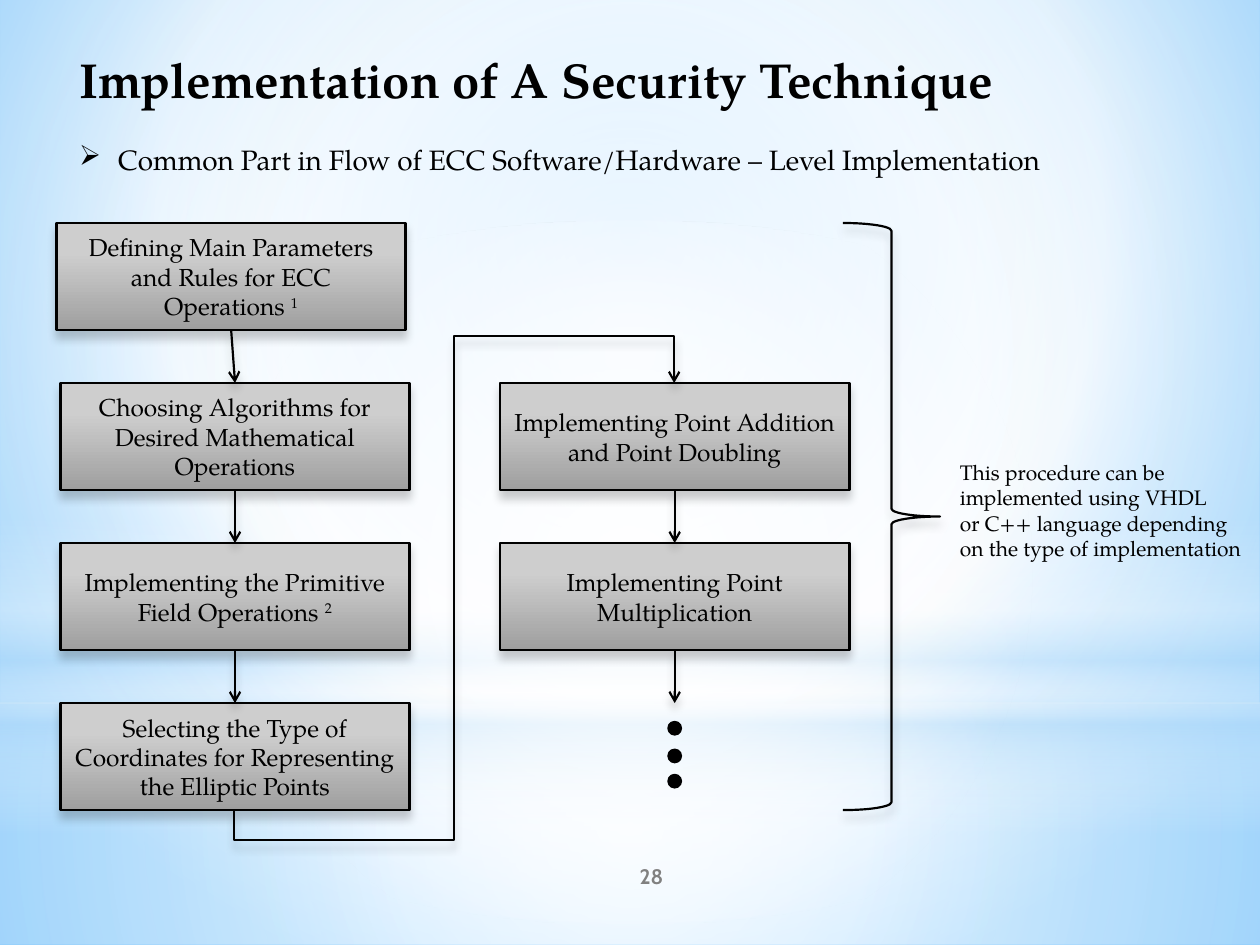
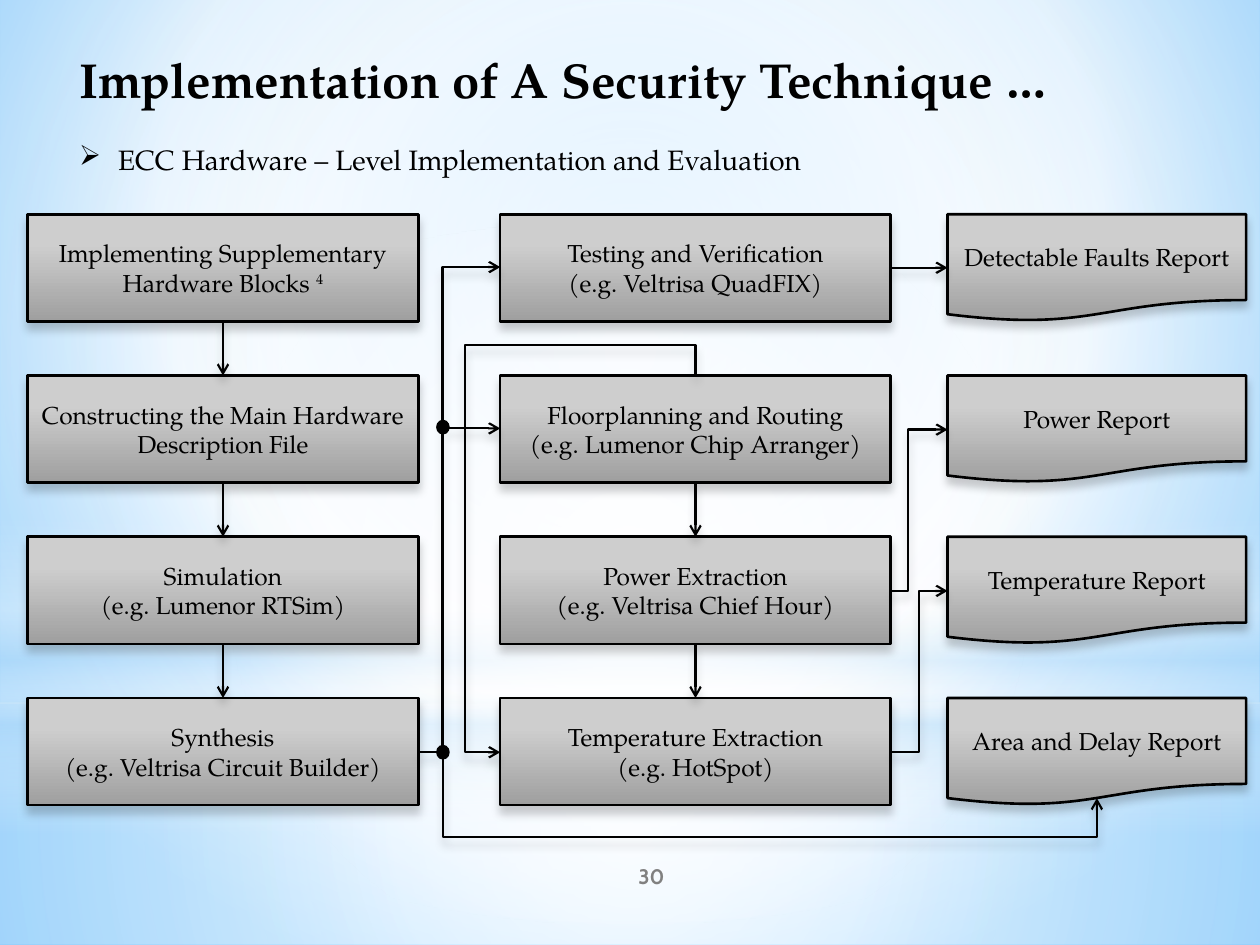
from lxml import etree
from pptx import Presentation
from pptx.dml.color import RGBColor
from pptx.enum import shapes, text
from pptx.oxml import ns
from pptx.util import Inches, Pt

COLORS = {"ink": "000000", "number": "808080", "white": "FFFFFF", "haze": "B4DCFA",
          "sky": "9ED5FF", "deep_sky": "5BB9FF", "steel": "CECECE", "dark_steel": "9F9F9F"}
SERIF, SANS = "TeX Gyre Pagella", "Cabin"
KIND = shapes.MSO_SHAPE
BOX_HEIGHT = 0.85
TOP, LEFT_SIDE, BOTTOM, RIGHT_SIDE = range(4)


def rgb(name):
    """Return the named colour."""
    return RGBColor.from_string(COLORS[name])


def child(parent, tag, **attributes):
    """Append a drawing element to its parent."""
    element = etree.SubElement(parent, ns.qn(tag))
    for key, value in attributes.items():
        element.set(key, str(value))
    return element


def paint_gradient(fill, holder, stops, focus=None):
    """Fill with (position, colour, opacity) stops, downwards or around a focus."""
    fill.gradient()
    gradient = holder.find(ns.qn("a:gradFill"))
    for part in list(gradient):
        gradient.remove(part)
    gradient.set("rotWithShape", "1")
    stop_list = child(gradient, "a:gsLst")
    for position, color, opacity in stops:
        stop = child(stop_list, "a:gs", pos=position * 1000)
        tint = child(stop, "a:srgbClr", val=COLORS[color])
        child(tint, "a:alpha", val=opacity * 1000)
    if focus:
        radial = child(gradient, "a:path", path="circle")
        child(radial, "a:fillToRect", **{side: v * 1000 for side, v in zip("ltrb", focus)})
    else:
        child(gradient, "a:lin", ang=90 * 60000, scaled=0)


def cast_shadow(shape):
    """Give a shape or connector a soft shadow below it."""
    properties = shape.element.spPr
    effects = properties.find(ns.qn("a:effectLst"))
    if effects is None:
        effects = child(properties, "a:effectLst")
    shadow = child(effects, "a:outerShdw", blurRad=Pt(5), dist=Pt(4),
                   dir=90 * 60000, rotWithShape=0)
    child(child(shadow, "a:srgbClr", val=COLORS["ink"]), "a:alpha", val=20000)


def add_run(paragraph, words, size, color="ink", font=SERIF, bold=False):
    """Add one formatted run."""
    run = paragraph.add_run()
    run.text = words
    run.font.name, run.font.size, run.font.bold = font, Pt(size), bold
    run.font.color.rgb = rgb(color)
    return run


def add_lines(frame, lines, size, align=text.PP_ALIGN.LEFT, **style):
    """Write each line as a paragraph and return the last one."""
    for index, line in enumerate(lines):
        paragraph = frame.add_paragraph() if index else frame.paragraphs[0]
        paragraph.alignment = align
        add_run(paragraph, line, size, **style)
    return paragraph


def add_plain(slide, kind, left, top, width, height):
    """Add a preset shape without shadow."""
    shape = slide.shapes.add_shape(kind, *map(Inches, (left, top, width, height)))
    shape.shadow.inherit = False
    return shape


def outline(shape, width):
    """Draw the ink line of a shape or connector."""
    shape.line.color.rgb = rgb("ink")
    shape.line.width = Pt(width)


def add_dot(slide, left, top, kind=KIND.OVAL, width=0.1):
    """Add a small solid dot."""
    dot = add_plain(slide, kind, left, top, width, 0.1)
    dot.fill.solid()
    dot.fill.fore_color.rgb = rgb("ink")
    outline(dot, 1.25)


def add_step(slide, kind, left, top, width, lines, note=None):
    """Add one flow chart step, with an optional raised note number."""
    step = add_plain(slide, kind, left, top, width, BOX_HEIGHT)
    paint_gradient(step.fill, step.element.spPr,
                   [(28, "steel", 100), (100, "dark_steel", 100)])
    outline(step, 1.5)
    cast_shadow(step)
    frame = step.text_frame
    frame.word_wrap = True
    frame.vertical_anchor = text.MSO_ANCHOR.MIDDLE
    last = add_lines(frame, lines, 14, text.PP_ALIGN.CENTER)
    if note:
        raised = add_run(last, note, 14)
        raised.font._element.set("baseline", "30000")
    return step


def add_column(slide, kind, left, top, width, pitch, labels):
    """Stack steps at an equal pitch; a label is its lines and perhaps a note."""
    return [add_step(slide, kind, left, top + row * pitch, width, *label)
            for row, label in enumerate(labels)]


def finish_arrow(connector):
    """Give a connector its line, arrowhead and shadow."""
    outline(connector, 1.25)
    child(connector.element.spPr.find(ns.qn("a:ln")), "a:tailEnd", type="arrow")
    cast_shadow(connector)


def add_arrow(slide, x1, y1, x2, y2):
    """Add a straight arrow between two points."""
    arrow = slide.shapes.add_connector(shapes.MSO_CONNECTOR.STRAIGHT,
                                       *map(Inches, (x1, y1, x2, y2)))
    finish_arrow(arrow)
    return arrow


def link(slide, start, end, start_side=BOTTOM, end_side=TOP):
    """Join two steps with a glued arrow."""
    arrow = add_arrow(slide, 0, 0, 1, 1)
    arrow.begin_connect(start, start_side)
    arrow.end_connect(end, end_side)


def link_down(slide, steps):
    """Join each step to the next."""
    for upper, lower in zip(steps, steps[1:]):
        link(slide, upper, lower)


def add_elbow(slide, left, top, width, height, bends, turn=0, flips="v"):
    """Add a bent arrow whose bends are fractions of its frame."""
    elbow = slide.shapes.add_connector(
        shapes.MSO_CONNECTOR.ELBOW,
        *map(Inches, (left, top, left + width, top + height)))
    frame = elbow.element.spPr.find(ns.qn("a:xfrm"))
    frame.set("rot", str(turn * 60000))
    for flip in flips:
        frame.set("flip" + flip.upper(), "1")
    geometry = elbow.element.spPr.find(ns.qn("a:prstGeom"))
    geometry.set("prst", f"bentConnector{len(bends) + 2}")
    guides = geometry.find(ns.qn("a:avLst"))
    if guides is None:
        guides = child(geometry, "a:avLst")
    for number, bend in enumerate(bends, 1):
        child(guides, "a:gd", name=f"adj{number}", fmla=f"val {round(bend * 100000)}")
    finish_arrow(elbow)


def dress_master(master, slide):
    """Set the sky background and put the light bands on the master."""
    background = master.background.fill
    background.gradient()
    holder = master.element.find(".//" + ns.qn("p:bgPr"))
    paint_gradient(background, holder,
                   [(0, "sky", 100), (60, "white", 100), (100, "deep_sky", 100)],
                   (20, 10, 20, 60))
    center = (50, 50, 50, 50)
    bands = [
        (KIND.RECTANGLE, 5.58, 1.92, center,
         [(0, "white", 91), (37, "white", 76), (100, "haze", 79)]),
        (KIND.RECTANGLE, 0, 5.58, center,
         [(0, "white", 89), (48, "white", 62), (100, "haze", 79)]),
        (KIND.RECTANGLE, 4.12, 2.5, None,
         [(0, "white", 0), (29, "white", 30), (45, "haze", 40),
          (55, "white", 26), (65, "haze", 60), (100, "white", 0)]),
        (KIND.OVAL, 1.75, 5.58, center, [(0, "white", 100), (56, "white", 0)]),
    ]
    tree = master.element.cSld.spTree
    for order, (kind, top, height, focus, stops) in enumerate(bands):
        band = add_plain(slide, kind, 0, top, 10, height)
        paint_gradient(band.fill, band.element.spPr, stops, focus)
        band.line.fill.background()
        band.element.nvSpPr.cNvPr.set("id", str(100 + order))
        tree.insert(2 + order, band.element)


def add_heading(slide, title, topic, number, left=0.53, top=0.34, width=8.96):
    """Place the title, the bulleted topic and the slide number."""
    heading = slide.shapes.title
    heading.left, heading.top, heading.width, heading.height = map(
        Inches, (left, top, width, 0.6))
    heading.text_frame.vertical_anchor = text.MSO_ANCHOR.TOP
    add_lines(heading.text_frame, [title], 28, bold=True)

    topic_box = slide.shapes.add_textbox(*map(Inches, (left, top + 0.74, width, 0.37)))
    topic_box.text_frame.word_wrap = True
    paragraph = topic_box.text_frame.paragraphs[0]
    properties = paragraph._p.get_or_add_pPr()
    properties.set("marL", str(Inches(0.31)))
    properties.set("indent", str(-Inches(0.31)))
    child(properties, "a:buChar", char="➢")
    add_run(paragraph, topic, 16)

    number_box = slide.shapes.add_textbox(*map(Inches, (4.17, 6.75, 2, 0.4)))
    number_box.text_frame.word_wrap = True
    number_box.text_frame.vertical_anchor = text.MSO_ANCHOR.MIDDLE
    add_lines(number_box.text_frame, [number], 12, text.PP_ALIGN.CENTER,
              color="number", font=SANS, bold=True)


def draw_common_flow(slide, left, top):
    """Draw the common implementation flow with its brace and remark."""
    width, pitch = 2.77, 1.27
    first = add_step(slide, KIND.FLOWCHART_PROCESS, left - 0.03, top, width,
                     ["Defining Main Parameters and Rules for ECC", "Operations "], "1")
    preparation = add_column(slide, KIND.FLOWCHART_PROCESS, left, top + pitch, width, pitch, [
        (["Choosing Algorithms for Desired Mathematical Operations"],),
        (["Implementing the Primitive Field Operations "], "2"),
        (["Selecting the Type of Coordinates for Representing the Elliptic Points"],)])
    points = add_column(slide, KIND.FLOWCHART_PROCESS, left + 3.49, top + pitch, width, pitch, [
        (["Implementing Point Addition and Point Doubling"],),
        (["Implementing Point Multiplication"],)])
    link_down(slide, [first] + preparation)
    link_down(slide, points)
    add_elbow(slide, left + 1.43, top + 1.22, 3.39, 3.49, [-0.07, 0.5, 1.11], 90, "hv")

    middle = left + 3.49 + width / 2
    add_arrow(slide, middle, top + 3.39, middle, top + 3.81)
    for drop in (3.96, 4.18, 4.38):
        add_dot(slide, middle - 0.05, top + drop)

    brace = add_plain(slide, KIND.RIGHT_BRACE, left + 6.21, top, 0.77, 4.66)
    brace.adjustments[0], brace.adjustments[1] = 0.08, 0.5
    brace.fill.background()
    outline(brace, 1.25)
    cast_shadow(brace)
    remark = slide.shapes.add_textbox(*map(Inches, (left + 7.04, top + 1.83, 2.5, 0.91)))
    remark.text_frame.word_wrap = False
    add_lines(remark.text_frame, ["This procedure can be", "implemented using VHDL",
                                  "or C++ language depending",
                                  "on the type of implementation"], 12)


def draw_hardware_flow(slide, left, top):
    """Draw the hardware design, evaluation and report columns."""
    width, pitch = 3.1, 1.28
    design = add_column(slide, KIND.FLOWCHART_PROCESS, left, top, width, pitch, [
        (["Implementing Supplementary Hardware Blocks "], "4"),
        (["Constructing the Main Hardware Description File"],),
        (["Simulation", "(e.g. Lumenor RTSim)"],),
        (["Synthesis", "(e.g. Veltrisa Circuit Builder)"],)])
    evaluation = add_column(slide, KIND.FLOWCHART_PROCESS, left + 3.75, top, width, pitch, [
        (["Testing and Verification", "(e.g. Veltrisa QuadFIX)"],),
        (["Floorplanning and Routing", "(e.g. Lumenor Chip Arranger)"],),
        (["Power Extraction", "(e.g. Veltrisa Chief Hour)"],),
        (["Temperature Extraction", "(e.g. HotSpot)"],)])
    reports = add_column(slide, KIND.FLOWCHART_DOCUMENT, left + 7.3, top, 2.37, pitch, [
        ([name],) for name in ("Detectable Faults Report", "Power Report",
                               "Temperature Report", "Area and Delay Report")])
    link_down(slide, design)
    link_down(slide, evaluation[1:])
    link(slide, evaluation[0], reports[0], RIGHT_SIDE, LEFT_SIDE)

    add_elbow(slide, left + 3.1, top + 0.42, 0.65, 3.85, [0.295])
    for drop in (1.64, 4.22):
        add_dot(slide, left + 3.25, top + drop, KIND.FLOWCHART_CONNECTOR, 0.09)
    add_arrow(slide, left + 3.33, top + 1.7, left + 3.75, top + 1.7)
    add_elbow(slide, left + 3.03, top + 2, 2.99, 1.55, [-0.08, 1.18], 270, "hv")
    for row, bend in ((1, 0.31), (2, 0.5)):
        add_elbow(slide, left + 6.85, top + 0.43 + row * pitch, 0.45, pitch, [bend])
    add_elbow(slide, left + 5.73, top + 1.88, 0.32, 5.19, [1.96], 270, "h")


def main():
    """Build and save both slides."""
    deck = Presentation()
    deck.slide_width, deck.slide_height = Inches(10), Inches(7.5)
    title_only = deck.slide_layouts[5]

    common = deck.slides.add_slide(title_only)
    dress_master(deck.slide_master, common)
    add_heading(common, "Implementation of A Security Technique",
                "Common Part in Flow of ECC Software/Hardware – Level Implementation", "28")
    draw_common_flow(common, 0.48, 1.77)

    hardware = deck.slides.add_slide(title_only)
    add_heading(hardware, "Implementation of A Security Technique …",
                "ECC Hardware – Level Implementation and Evaluation", "30")
    draw_hardware_flow(hardware, 0.22, 1.7)
    deck.save("out.pptx")


if __name__ == "__main__":
    main()
